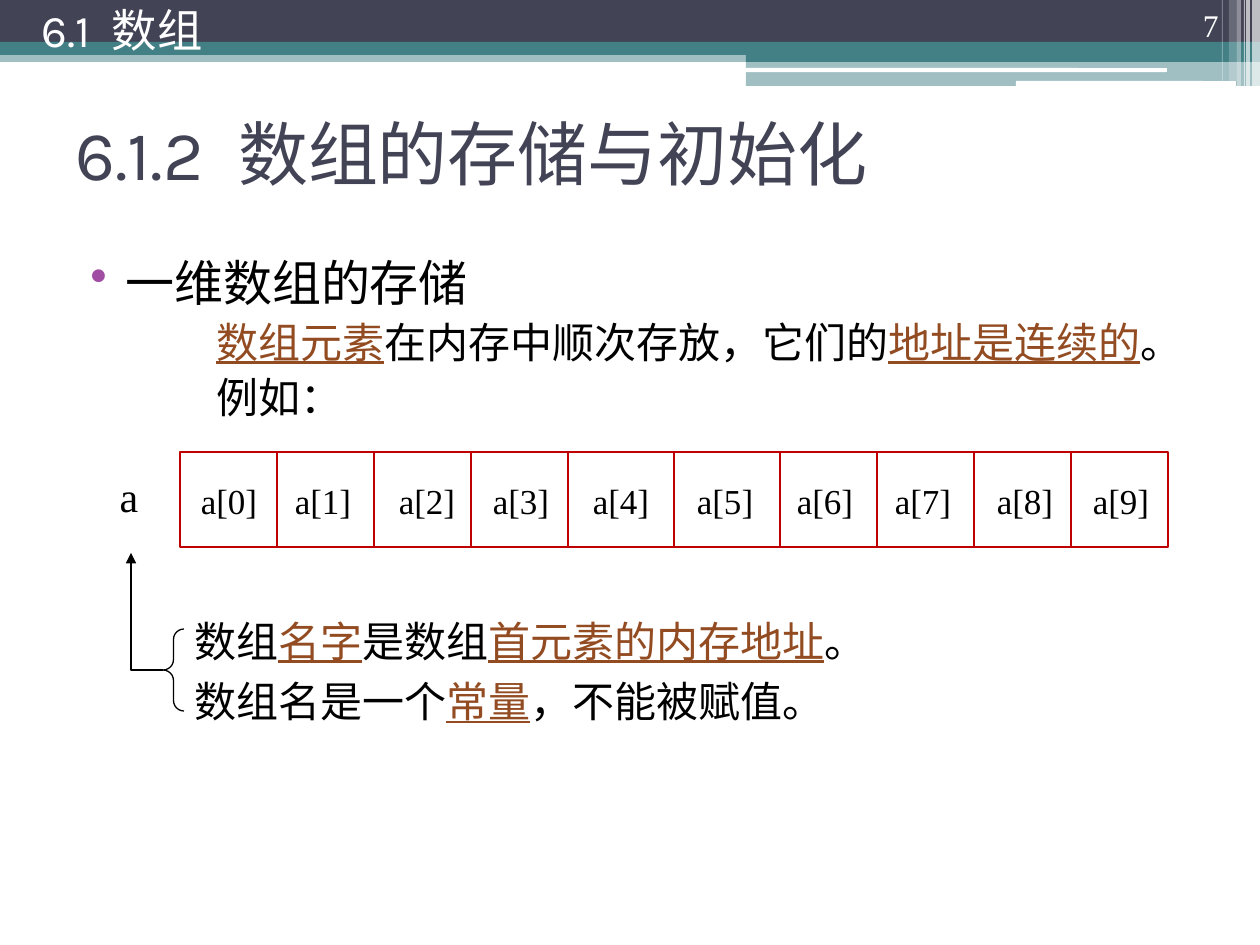
"""Build the slide on how a one-dimensional array is stored."""
from dataclasses import dataclass
from itertools import accumulate
from typing import Any, NamedTuple, Optional

from lxml import etree
from pptx import Presentation
from pptx import util as u
from pptx.dml.color import RGBColor
from pptx.enum import shapes, text
from pptx.oxml.ns import qn


@dataclass(frozen=True)
class Theme:
    navy: str = "424456"
    teal: str = "438086"
    white: str = "FFFFFF"
    black: str = "000000"
    brown: str = "934C22"
    red: str = "C00000"
    purple: str = "A04DA3"
    sans: str = "Karla"
    serif: str = "TeX Gyre Schola"
    roman: str = "Times New Roman"
    cjk: str = "Noto Sans CJK SC"
    title: float = 40
    lead: float = 28
    head: float = 25.9
    body: float = 24
    cell: float = 20
    page: float = 18
    line: float = 0.75


T = Theme()
KIND = shapes.MSO_SHAPE
ALIGN = text.PP_ALIGN
MID = text.MSO_ANCHOR.MIDDLE


class Box(NamedTuple):
    x: int
    y: int
    w: int
    h: int


class Bar(NamedTuple):
    box: Box
    color: str
    alpha: int = 100
    kind: Any = KIND.RECTANGLE


class Run(NamedTuple):
    text: str
    size: float = T.body
    font: str = T.serif
    color: str = T.black
    under: bool = False
    east: str = T.serif
    gap: int = 0


class Para(NamedTuple):
    runs: list[Run]
    left: int = 0
    hang: int = 0
    before: float = 0
    space: Optional[float] = None
    align: Any = ALIGN.LEFT
    dot: bool = False


def px(n: int) -> u.Emu:
    return u.Emu(round(n * 914400 / 126))


def rgb(color: str) -> RGBColor:
    return RGBColor.from_string(color)


def add_sub(node: Any, tag: str, **attrs: str) -> Any:
    return etree.SubElement(node, qn(tag), **attrs)


def draw_bar(slide: Any, bar: Bar) -> None:
    shape = slide.shapes.add_shape(bar.kind, *map(px, bar.box))
    shape.shadow.inherit = False
    shape.line.fill.background()
    shape.fill.solid()
    shape.fill.fore_color.rgb = rgb(bar.color)
    if bar.alpha < 100:
        tint = shape.fill._xPr.find(qn("a:solidFill"))[0]
        add_sub(tint, "a:alpha", val=str(bar.alpha * 1000))


def draw_frame(slide: Any, kind: Any, box: Box, color: str) -> Any:
    shape = slide.shapes.add_shape(kind, *map(px, box))
    shape.shadow.inherit = False
    shape.fill.background()
    shape.line.color.rgb = rgb(color)
    shape.line.width = u.Pt(T.line)
    return shape


def draw_line(slide: Any, kind: Any, ends: tuple, color: str) -> Any:
    line = slide.shapes.add_connector(kind, *map(px, ends))
    line.line.color.rgb = rgb(color)
    line.line.width = u.Pt(T.line)
    add_sub(line._element.spPr, "a:effectLst")
    return line


def draw_arrow(slide: Any, ends: tuple) -> None:
    line = draw_line(slide, shapes.MSO_CONNECTOR.ELBOW, ends, T.black)
    props = line._element.spPr
    props.find(qn("a:prstGeom")).set("prst", "bentConnector2")
    props.find(qn("a:xfrm")).set("rot", "10800000")
    add_sub(props.find(qn("a:ln")), "a:tailEnd", type="triangle")


def add_run(para: Any, item: Run) -> None:
    run = para.add_run()
    run.text = item.text
    font = run.font
    font.size, font.name = u.Pt(item.size), item.font
    font.color.rgb = rgb(item.color)
    if item.under:
        font.underline = True
    props = run._r.get_or_add_rPr()
    props.set("lang", "zh-CN")
    if item.gap:
        props.set("spc", str(item.gap))
    east = etree.Element(qn("a:ea"), typeface=item.east)
    props.find(qn("a:latin")).addnext(east)


def draw_text(slide: Any, box: Box, paras: list[Para],
              anchor: Any = text.MSO_ANCHOR.TOP, wrap: bool = True) -> None:
    frame = slide.shapes.add_textbox(*map(px, box)).text_frame
    frame.word_wrap = wrap
    frame.vertical_anchor = anchor
    for i, item in enumerate(paras):
        para = frame.add_paragraph() if i else frame.paragraphs[0]
        para.alignment = item.align
        if item.before:
            para.space_before = u.Pt(item.before)
        if item.space:
            para.line_spacing = item.space
        props = para._p.get_or_add_pPr()
        props.set("marL", str(px(item.left)))
        props.set("indent", str(px(item.hang)))
        if item.dot:
            tint = add_sub(props, "a:buClr")
            add_sub(tint, "a:srgbClr", val=T.purple)
            add_sub(props, "a:buChar", char="•")
        for run in item.runs:
            add_run(para, run)


def draw_title(slide: Any, box: Box, num: str, name: str,
               size: float, color: str, gap: int) -> None:
    look = (size, T.sans, color, False, T.sans)
    runs = [Run(num, *look), Run(" ", *look, gap), Run(name, *look)]
    draw_text(slide, box, [Para(runs)], MID)


def draw_label(slide: Any, box: Box, word: str, size: float) -> None:
    run = Run(word, size, T.roman)
    draw_text(slide, box, [Para([run], align=ALIGN.CENTER)], MID, False)


def mark(word: str) -> Run:
    return Run(word, font=T.cjk, color=T.brown, under=True)


def draw_array(slide: Any) -> None:
    top, low = 452, 547
    edges = list(accumulate([97] * 4 + [106] * 2 + [97] * 4, initial=180))
    span = Box(edges[0], top, edges[-1] - edges[0], low - top)
    draw_frame(slide, KIND.RECTANGLE, span, T.red)
    for x in edges[1:-1]:
        draw_line(slide, shapes.MSO_CONNECTOR.STRAIGHT, (x, top, x, low), T.red)
    lefts = (188, 282, 386, 480, 580, 684, 784, 882, 984, 1080)
    for i, x in enumerate(lefts):
        draw_label(slide, Box(x, 473, 82, 55), f"a[{i}]", T.cell)
    draw_label(slide, Box(107, 464, 44, 64), "a", T.body)


BARS = [
    Bar(Box(0, 50, 1260, 12), T.teal, 50),
    Bar(Box(0, 0, 1260, 43), T.navy),
    Bar(Box(0, 42, 1260, 13), T.teal),
    Bar(Box(746, 49, 514, 13), T.teal),
    Bar(Box(746, 61, 514, 25), T.teal, 50),
    Bar(Box(745, 68, 422, 4), T.white, kind=KIND.ROUNDED_RECTANGLE),
    Bar(Box(1016, 81, 220, 5), T.white, kind=KIND.ROUNDED_RECTANGLE),
] + [Bar(Box(x, 0, w, h), T.white, a) for x, w, h, a in (
    (1252, 8, 86, 65), (1246, 4, 86, 65), (1244, 1, 86, 60),
    (1237, 4, 86, 40), (1229, 8, 81, 20), (1222, 1, 81, 30))]

BODY = [
    Para([Run("一维数组的存储", T.lead)], 50, -35, dot=True),
    Para([mark("数组元素"), Run("在内存中顺次存放，它们的"),
          mark("地址是连续的"), Run("。")], 141, before=3),
    Para([Run("例如：")], 141, before=3),
]
NOTES = [
    Para([Run("数组"), mark("名字"), Run("是数组"),
          mark("首元素的内存地址"), Run("。")], 118, space=1.2),
    Para([Run("数组名是一个"), mark("常量"), Run("，不能被赋值。")],
         118, space=1.2),
]


def main() -> None:
    deck = Presentation()
    deck.slide_width, deck.slide_height = px(1260), px(945)
    slide = deck.slides.add_slide(deck.slide_layouts[6])
    for bar in BARS:
        draw_bar(slide, bar)
    page = Run("7", T.page, T.roman, T.white)
    draw_text(slide, Box(1126, 0, 105, 50), [Para([page], align=ALIGN.RIGHT)],
              text.MSO_ANCHOR.BOTTOM)
    draw_title(slide, Box(29, 0, 908, 59), "6.1", "数组", T.head, T.white, 600)
    draw_title(slide, Box(63, 79, 1134, 147), "6.1.2", "数组的存储与初始化",
               T.title, T.navy, 1000)
    draw_text(slide, Box(63, 246, 1134, 660), BODY)
    draw_array(slide)
    draw_text(slide, Box(64, 599, 992, 135), NOTES)
    brace = draw_frame(slide, KIND.LEFT_BRACE, Box(163, 629, 21, 82), T.black)
    brace.adjustments[0] = brace.adjustments[1] = 0.5
    draw_arrow(slide, (131, 553, 163, 670))
    deck.save("out.pptx")


if __name__ == "__main__":
    main()
